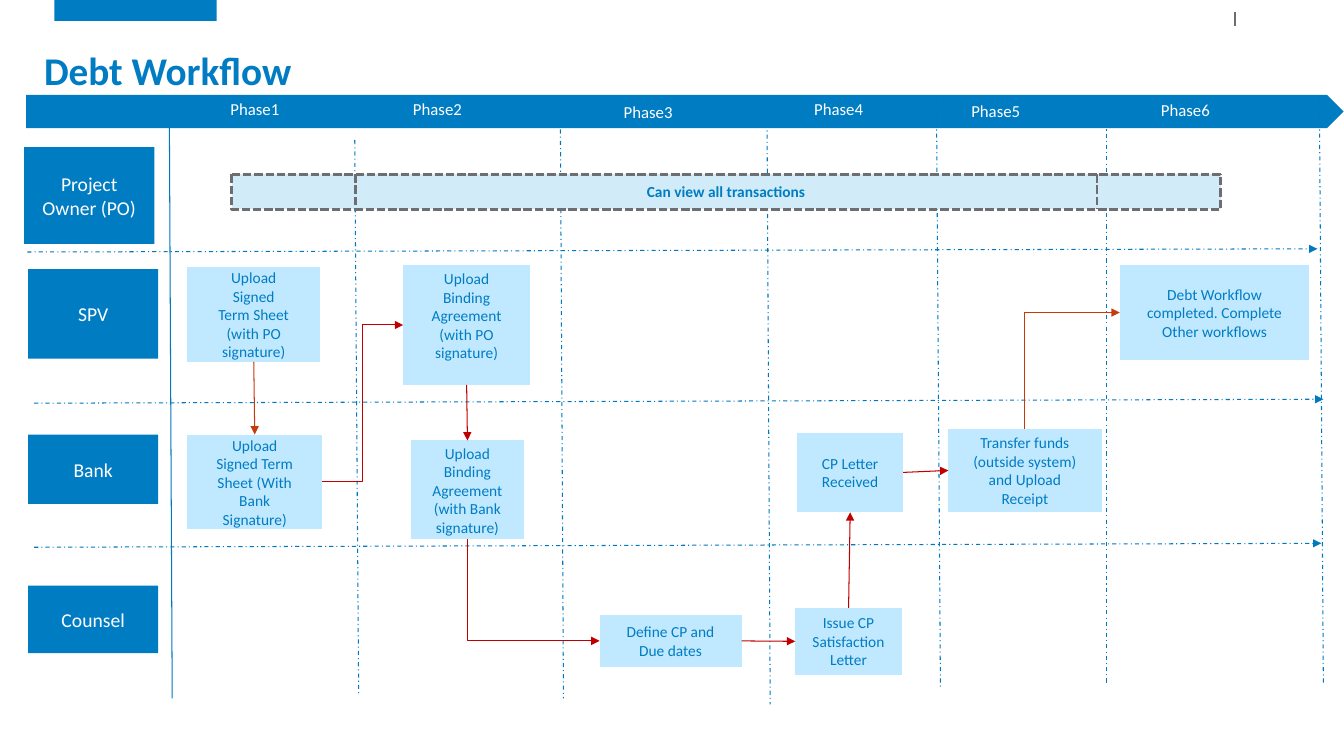
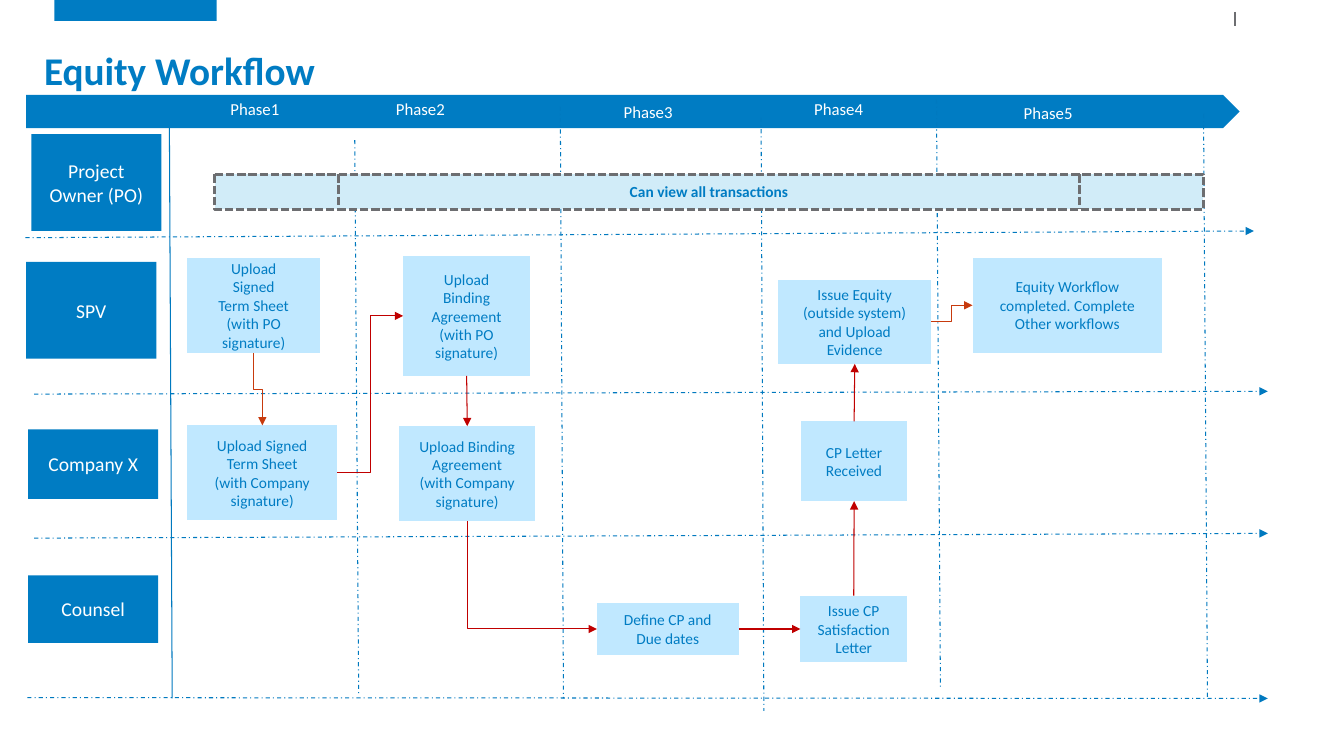
from dataclasses import dataclass
from enum import Enum
from itertools import pairwise
from typing import NamedTuple

from lxml.etree import SubElement
from pptx import Presentation
from pptx.dml.color import RGBColor
from pptx.enum.dml import MSO_LINE
from pptx.enum.shapes import MSO_CONNECTOR, MSO_SHAPE
from pptx.enum.text import MSO_ANCHOR, PP_ALIGN
from pptx.oxml.ns import qn
from pptx.util import Cm, Pt


@dataclass(frozen=True)
class Theme:
    """Colours, font and type sizes shared by the slides."""
    font: str = "Calibri"
    primary: RGBColor = RGBColor(0x00, 0x7C, 0xC3)
    grid: RGBColor = RGBColor(0x00, 0x79, 0xBF)
    step: RGBColor = RGBColor(0xC0, 0xE8, 0xFF)
    view: RGBColor = RGBColor(0xD1, 0xEC, 0xF8)
    gray: RGBColor = RGBColor(0x6D, 0x6E, 0x71)
    white: RGBColor = RGBColor(0xFF, 0xFF, 0xFF)
    flow: RGBColor = RGBColor(0xC0, 0x00, 0x00)
    flow_end: RGBColor = RGBColor(0xC7, 0x3A, 0x0D)
    title_size: int = 28
    lane_size: int = 14
    phase_size: int = 12
    step_size: int = 11
    thin: float = 0.75


THEME = Theme()


class Box(NamedTuple):
    """A rectangle in centimetres."""
    left: float
    top: float
    width: float
    height: float

    def within(self, area):
        """Return this box moved from the area's corner to the slide's."""
        return Box(area.left + self.left, area.top + self.top, self.width, self.height)

    def lengths(self):
        """Return the four lengths for python-pptx."""
        return [Cm(value) for value in self]


TOP, LEFT, BOTTOM, RIGHT = range(4)


class Link(Enum):
    """Exit side, entry side, connector preset and whether it starts vertically."""
    DOWN = (BOTTOM, TOP, "line", False)
    DOWN_STEP = (BOTTOM, TOP, "bentConnector3", True)
    UP = (TOP, BOTTOM, "line", False)
    ACROSS = (RIGHT, LEFT, "line", False)
    ACROSS_STEP = (RIGHT, LEFT, "bentConnector3", False)
    DOWN_ACROSS = (BOTTOM, LEFT, "bentConnector2", True)
    UP_ACROSS = (TOP, LEFT, "bentConnector2", True)


class Step(NamedTuple):
    """A workflow step and the link to the step after it."""
    text: str
    box: Box
    link: Link | None
    margins: tuple = (0, 0, 0, 0)


class Workflow(NamedTuple):
    """Everything that differs between the workflow slides."""
    title: str
    band_width: float
    phases: list
    lanes: list
    columns: list
    rows: list
    view_left: float
    steps: list


def write(shape, text, size, color, margins=(0.25, 0.13, 0.25, 0.13), bold=False,
          align=PP_ALIGN.CENTER, anchor=MSO_ANCHOR.MIDDLE):
    """Fill a shape with evenly formatted text."""
    frame = shape.text_frame
    frame.word_wrap = True
    frame.vertical_anchor = anchor
    frame.margin_left, frame.margin_top, frame.margin_right, frame.margin_bottom = (
        Cm(margin) for margin in margins)
    frame.text = text
    for paragraph in frame.paragraphs:
        paragraph.alignment = align
        paragraph.font.name = THEME.font
        paragraph.font.size = Pt(size)
        paragraph.font.bold = bold
        paragraph.font.color.rgb = color


def add_block(slide, preset, box, fill):
    """Add a flat shape without outline."""
    shape = slide.shapes.add_shape(preset, *box.lengths())
    shape.shadow.inherit = False
    shape.fill.solid()
    shape.fill.fore_color.rgb = fill
    shape.line.fill.background()
    return shape


def style_line(connector, color, width=THEME.thin, dash=None, arrow=False):
    """Style a connector and remove its shadow."""
    connector.line.color.rgb = color
    connector.line.width = Pt(width)
    if dash:
        connector.line.dash_style = dash
    properties = connector.element.spPr
    if arrow:
        SubElement(properties.find(qn("a:ln")), qn("a:tailEnd"), type="triangle")
    SubElement(properties, qn("a:effectLst"))


def add_line(slide, area, points, color, **style):
    """Draw a straight line between two points of an area."""
    x1, y1, x2, y2 = points
    connector = slide.shapes.add_connector(
        MSO_CONNECTOR.STRAIGHT, Cm(area.left + x1), Cm(area.top + y1),
        Cm(area.left + x2), Cm(area.top + y2))
    style_line(connector, color, **style)


def turn_vertical(connector):
    """Turn a rightward elbow so that it leaves its start vertically."""
    frame = connector.element.spPr.find(qn("a:xfrm"))
    goes_down = connector.end_y > connector.begin_y
    left, top, width, height = (connector.left, connector.top,
                                connector.width, connector.height)
    connector.left = left + (width - height) // 2
    connector.top = top + (height - width) // 2
    connector.width, connector.height = height, width
    frame.set("rot", "16200000")
    frame.set("flipH", "1" if goes_down else "0")
    frame.set("flipV", "0")


def add_link(slide, source, target, link, color):
    """Join two step shapes with an arrow."""
    exit_side, entry_side, preset, vertical = link.value
    kind = MSO_CONNECTOR.STRAIGHT if preset == "line" else MSO_CONNECTOR.ELBOW
    connector = slide.shapes.add_connector(kind, 0, 0, 0, 0)
    connector.begin_connect(source, exit_side)
    connector.end_connect(target, entry_side)
    connector.element.spPr.find(qn("a:prstGeom")).set("prst", preset)
    if vertical:
        turn_vertical(connector)
    style_line(connector, color, arrow=True)


def draw_header(slide, area, title):
    """Draw the top tab, the tick and the title."""
    add_block(slide, MSO_SHAPE.RECTANGLE, Box(1.37, 0, 4.09, 0.53).within(area), THEME.primary)
    add_line(slide, area, (31.12, 0.3, 31.12, 0.66), THEME.gray, width=1)
    heading = slide.shapes.add_textbox(*Box(0.86, 0.53, 32.16, 1.96).within(area).lengths())
    write(heading, title, THEME.title_size, THEME.primary, bold=True,
          align=PP_ALIGN.LEFT, anchor=MSO_ANCHOR.BOTTOM)
    heading.text_frame.paragraphs[0].line_spacing = 0.9


def draw_phases(slide, area, phases):
    """Draw the phase band with its numbered labels."""
    add_block(slide, MSO_SHAPE.PENTAGON, area, THEME.primary)
    for number, (left, top) in enumerate(phases, 1):
        label = add_block(slide, MSO_SHAPE.RECTANGLE,
                          Box(left, top, 2.49, 0.46).within(area), THEME.primary)
        write(label, f"Phase{number}", THEME.phase_size, THEME.white)


def draw_lanes(slide, area, workflow):
    """Draw the grid lines, the lane names and the bar over all phases."""
    add_line(slide, area, (3.77, 0.23, 3.84, 14.6), THEME.grid)
    for column in SHARED_COLUMNS + workflow.columns:
        add_line(slide, area, column, THEME.grid, dash=MSO_LINE.DASH_DOT)
    for row in workflow.rows:
        add_line(slide, area, row, THEME.grid, dash=MSO_LINE.DASH_DOT, arrow=True)
    for name, left, top, height in workflow.lanes:
        lane = add_block(slide, MSO_SHAPE.RECTANGLE,
                         Box(left, top, 3.28, height).within(area), THEME.primary)
        write(lane, name, THEME.lane_size, THEME.white)
    view = add_block(slide, MSO_SHAPE.FLOWCHART_PREDEFINED_PROCESS,
                     Box(workflow.view_left, 1.39, 24.92, 0.89).within(area), THEME.view)
    view.line.color.rgb = THEME.gray
    view.line.width = Pt(2)
    view.line.dash_style = MSO_LINE.SQUARE_DOT
    write(view, "Can view all transactions", THEME.step_size, THEME.primary,
          margins=(0, 0, 0, 0), bold=True)


def draw_steps(slide, area, steps):
    """Draw the steps and link each to the next; the outer links stand out."""
    shapes = []
    for step in steps:
        shape = add_block(slide, MSO_SHAPE.FLOWCHART_PREDEFINED_PROCESS,
                          step.box.within(area), THEME.step)
        write(shape, step.text, THEME.step_size, THEME.primary, step.margins)
        shapes.append(shape)
    last = len(steps) - 2
    for index, (source, target) in enumerate(pairwise(shapes)):
        color = THEME.flow_end if index in (0, last) else THEME.flow
        add_link(slide, source, target, steps[index].link, color)


def draw_workflow(slide, page, workflow):
    """Compose one workflow slide."""
    draw_header(slide, page, workflow.title)
    draw_phases(slide, Box(0.66, 2.39, workflow.band_width, 0.84).within(page), workflow.phases)
    board = Box(0.5, 3, 32.8, 15).within(page)
    draw_lanes(slide, board, workflow)
    draw_steps(slide, board, workflow.steps)


PADDED = (0.25, 0.13, 0.25, 0.13)
RAISED = (0.25, 0.13, 0.25, 0.6)
SHARED_COLUMNS = [(8.44, 0.53, 8.54, 14.53), (13.62, -0.31, 13.7, 14.6),
                  (23.1, -0.49, 23.2, 14.35)]
TERM_SHEET = "Upload Signed\vTerm Sheet (with PO signature)"
BINDING = "Upload Binding Agreement\n"
DEFINE = "Define CP and Due dates"
ISSUE = "Issue CP Satisfaction Letter"
RECEIVED = "CP Letter Received"
COMPLETED = " Workflow completed. Complete Other workflows"

DEBT = Workflow(
    title="Debt Workflow",
    band_width=33.2,
    phases=[(4.52, 0.13), (9.12, 0.13), (14.43, 0.2), (19.23, 0.13), (23.19, 0.18),
            (27.97, 0.15)],
    lanes=[("Project Owner (PO)", 0.11, 0.71, 2.44), ("SPV", 0.21, 3.78, 2.26),
           ("Bank", 0.21, 7.95, 1.75), ("Counsel", 0.21, 11.76, 1.7)],
    columns=[(18.83, -0.18, 18.91, 14.75), (27.39, -0.49, 27.39, 14.25),
             (32.75, -0.49, 32.85, 14.25)],
    rows=[(0.19, 3.35, 32.7, 3.27), (0.36, 7.16, 32.85, 7.06), (0.36, 10.79, 32.8, 10.69)],
    view_left=5.34,
    steps=[
        Step(TERM_SHEET, Box(4.22, 3.73, 3.35, 2.39), Link.DOWN, PADDED),
        Step("Upload Signed Term Sheet (With Bank Signature)",
             Box(4.22, 7.95, 3.4, 2.39), Link.ACROSS_STEP, PADDED),
        Step(BINDING + "(with PO signature)", Box(9.66, 3.68, 3.2, 3.02), Link.DOWN, RAISED),
        Step(BINDING + "(with Bank signature)", Box(9.86, 8.1, 2.84, 2.49), Link.DOWN_ACROSS),
        Step(DEFINE, Box(14.61, 12.49, 3.58, 1.32), Link.ACROSS),
        Step(ISSUE, Box(19.54, 12.32, 2.69, 1.68), Link.UP),
        Step(RECEIVED, Box(19.59, 7.9, 2.67, 2.01), Link.ACROSS),
        Step("Transfer funds (outside system) and Upload Receipt",
             Box(23.4, 7.8, 3.86, 2.11), Link.UP_ACROSS),
        Step("Debt" + COMPLETED, Box(27.72, 3.68, 4.78, 2.39), None),
    ],
)

EQUITY = Workflow(
    title="Equity Workflow",
    band_width=30.58,
    phases=[(4.52, 0.13), (8.69, 0.13), (14.43, 0.2), (19.23, 0.13), (24.51, 0.23)],
    lanes=[("Project Owner (PO)", 0.29, 0.38, 2.44), ("SPV", 0.16, 3.6, 2.44),
           ("Company X", 0.21, 7.82, 1.75), ("Counsel", 0.21, 11.5, 1.7)],
    columns=[(18.68, -0.03, 18.75, 14.91), (29.83, -0.13, 29.93, 14.6)],
    rows=[(0.14, 2.99, 31.1, 2.82), (0.36, 6.93, 31.45, 6.86), (0.36, 10.56, 31.45, 10.44),
          (0.19, 14.58, 31.45, 14.6)],
    view_left=4.91,
    steps=[
        Step(TERM_SHEET, Box(4.22, 3.5, 3.35, 2.39), Link.DOWN_STEP, PADDED),
        Step("Upload Signed Term Sheet\n(with Company signature)",
             Box(4.22, 7.72, 3.78, 2.39), Link.ACROSS_STEP),
        Step(BINDING + "(with PO signature)", Box(9.66, 3.45, 3.2, 3.02), Link.DOWN, PADDED),
        Step(BINDING + "(with Company signature)", Box(9.56, 7.74, 3.43, 2.39),
             Link.DOWN_ACROSS),
        Step(DEFINE, Box(14.54, 12.19, 3.58, 1.32), Link.ACROSS),
        Step(ISSUE, Box(19.67, 12.01, 2.69, 1.68), Link.UP),
        Step(RECEIVED, Box(19.69, 7.62, 2.67, 2.01), Link.UP),
        Step("Issue Equity (outside system) and Upload Evidence",
             Box(19.11, 4.06, 3.86, 2.11), Link.ACROSS_STEP),
        Step("Equity" + COMPLETED, Box(24.01, 3.5, 4.78, 2.39), None),
    ],
)

PAGE = Box(0, 0, 33.87, 19.05)
presentation = Presentation()
presentation.slide_width, presentation.slide_height = Cm(PAGE.width), Cm(PAGE.height)
for workflow in (DEBT, EQUITY):
    draw_workflow(presentation.slides.add_slide(presentation.slide_layouts[6]), PAGE, workflow)
presentation.save("out.pptx")
